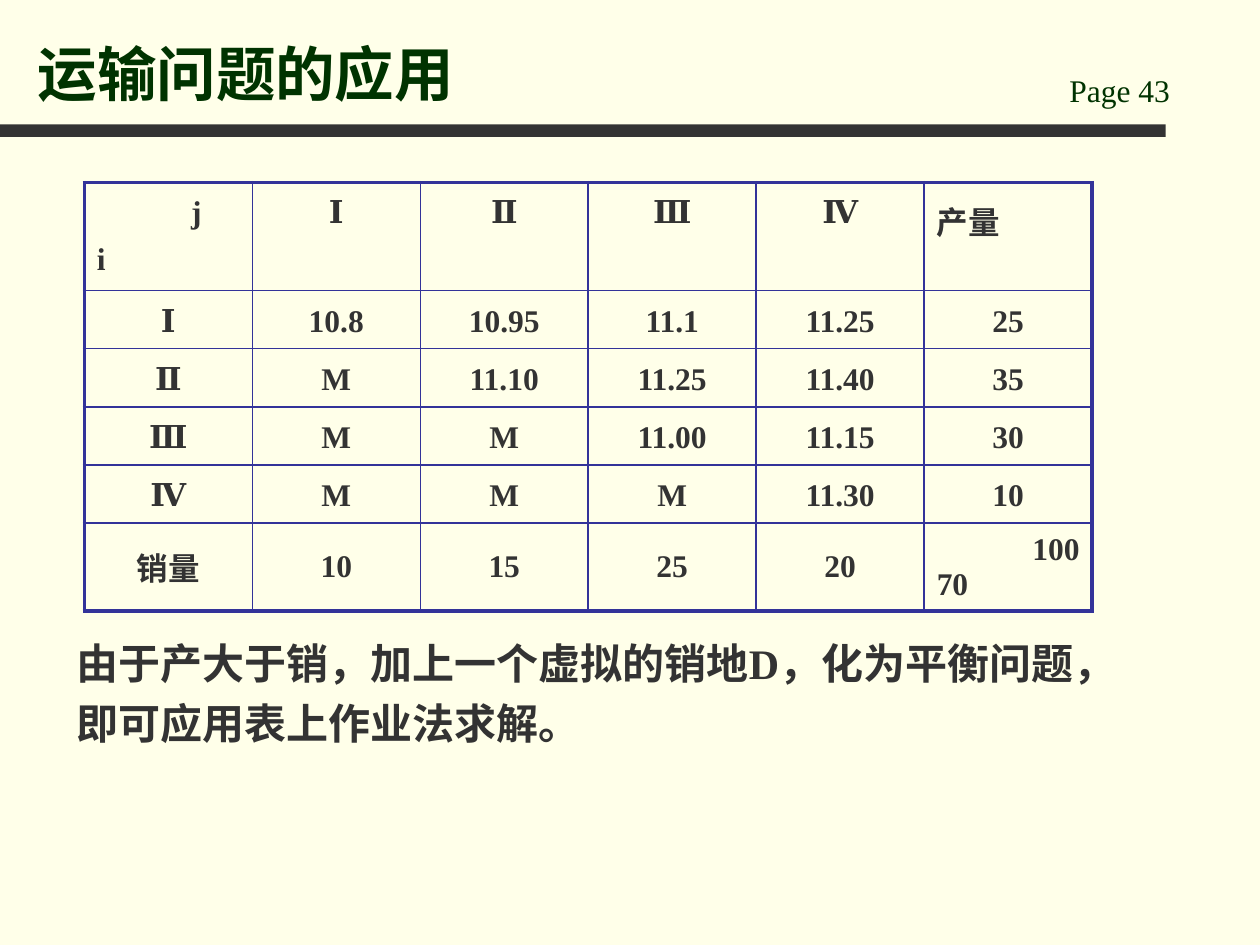
import pptx
import pptx.util
import pptx.dml.color
import pptx.enum.text
import pptx.enum.shapes
import pptx.oxml
import pptx.oxml.ns

Cm, Pt = pptx.util.Cm, pptx.util.Pt
ALIGN = pptx.enum.text.PP_ALIGN
ANCHOR = pptx.enum.text.MSO_ANCHOR
FIT = pptx.enum.text.MSO_AUTO_SIZE
FACE = "Times New Roman"
INK, GREEN, RULE, PAPER = "333333", "003300", "333399", "FFFFE9"

HEAD = {"name": FACE, "size": Pt(34), "bold": True}
PAGE = {"name": FACE, "size": Pt(18), "bold": False}
CELL = {"name": FACE, "size": Pt(18), "bold": True}
NOTE = {"name": FACE, "size": Pt(24), "bold": True}

ROWS = [
    ["j\ni", "Ⅰ", "Ⅱ", "Ⅲ", "Ⅳ", "产量"],
    ["Ⅰ", "10.8", "10.95", "11.1", "11.25", "25"],
    ["Ⅱ", "M", "11.10", "11.25", "11.40", "35"],
    ["Ⅲ", "M", "M", "11.00", "11.15", "30"],
    ["Ⅳ", "M", "M", "M", "11.30", "10"],
    ["销量", "10", "15", "25", "20", "100\n70"],
]
TALL = [2.18, 1.17, 1.17, 1.17, 1.17, 1.78]


def tint(code):
    return pptx.dml.color.RGBColor.from_string(code)


def apply(obj, vals):
    for key, val in vals.items():
        setattr(obj, key, val)


def write(frame, text, look, code, **para):
    frame.text = text
    for line in frame.paragraphs:
        apply(line, para)
        for run in line.runs:
            apply(run.font, look)
            run.font.color.rgb = tint(code)


def label(slide, box, text, look, code, **para):
    frame = slide.shapes.add_textbox(*map(Cm, box)).text_frame
    apply(frame, {"word_wrap": True, "auto_size": FIT.SHAPE_TO_FIT_TEXT})
    write(frame, text, look, code, **para)


def edge(cell, side, width):
    line = pptx.oxml.parse_xml(
        f'<a:{side} {pptx.oxml.ns.nsdecls("a")} w="{Pt(width)}">'
        f'<a:solidFill><a:srgbClr val="{RULE}"/></a:solidFill></a:{side}>')
    cell._tc.get_or_add_tcPr().append(line)


def header(slide, box):
    left, top, width, height = box
    bar = slide.shapes.add_shape(
        pptx.enum.shapes.MSO_SHAPE.RECTANGLE,
        Cm(left), Cm(top + 2.51), Cm(width), Cm(0.25))
    bar.shadow.inherit = False
    bar.fill.solid()
    bar.fill.fore_color.rgb = tint(INK)
    bar.line.fill.background()
    label(slide, (left + 21.31, top + 1.3, 3.61, 1.02), "Page 43", PAGE, GREEN)
    title = slide.shapes.title
    apply(title, {"left": Cm(left + 0.51), "top": Cm(top + 0.33),
                  "width": Cm(20.4), "height": Cm(height)})
    apply(title.text_frame, {"vertical_anchor": ANCHOR.BOTTOM,
                             "auto_size": FIT.NONE, "word_wrap": True})
    write(title.text_frame, "运输问题的应用", HEAD, GREEN, alignment=ALIGN.LEFT)


def costs(slide, box):
    last = len(ROWS) - 1
    table = slide.shapes.add_table(
        len(ROWS), len(ROWS[0]), *map(Cm, box)).table
    apply(table, {"first_row": False, "horz_banding": False})
    for col in table.columns:
        col.width = Cm(box[2] / len(ROWS[0]))
    for r, texts in enumerate(ROWS):
        table.rows[r].height = Cm(TALL[r])
        for c, text in enumerate(texts):
            cell = table.cell(r, c)
            plain = r == 0 and c in (0, last)
            para = {"alignment": ALIGN.LEFT if plain else ALIGN.CENTER}
            if r < last:
                para["line_spacing"] = 1.2
            else:
                cell.vertical_anchor = ANCHOR.MIDDLE
            write(cell.text_frame, text, CELL, INK, **para)
            for side, outer in (("lnL", c == 0), ("lnR", c == last),
                                ("lnT", r == 0), ("lnB", r == last)):
                edge(cell, side, 2.25 if outer else 1)
            cell.fill.background()
    first, second = table.cell(0, 0).text_frame.paragraphs
    first._p.get_or_add_pPr().set("marL", str(Cm(1.9)))
    second.space_before = Pt(2.7)
    made, sold = table.cell(last, last).text_frame.paragraphs
    made.alignment, sold.alignment = ALIGN.RIGHT, ALIGN.LEFT


def main():
    deck = pptx.Presentation()
    apply(deck, {"slide_width": Cm(25.4), "slide_height": Cm(19.05)})
    slide = deck.slides.add_slide(deck.slide_layouts[5])
    slide.background.fill.solid()
    slide.background.fill.fore_color.rgb = tint(PAPER)
    header(slide, (0, 0, 23.5, 1.98))
    costs(slide, (1.7, 3.68, 20.32, sum(TALL)))
    label(slide, (1.3, 12.52, 21.79, 2.69),
          "由于产大于销，加上一个虚拟的销地D，化为平衡问题，即可应用表上作业法求解。",
          NOTE, INK, line_spacing=1.2)
    deck.save("out.pptx")


if __name__ == "__main__":
    main()
